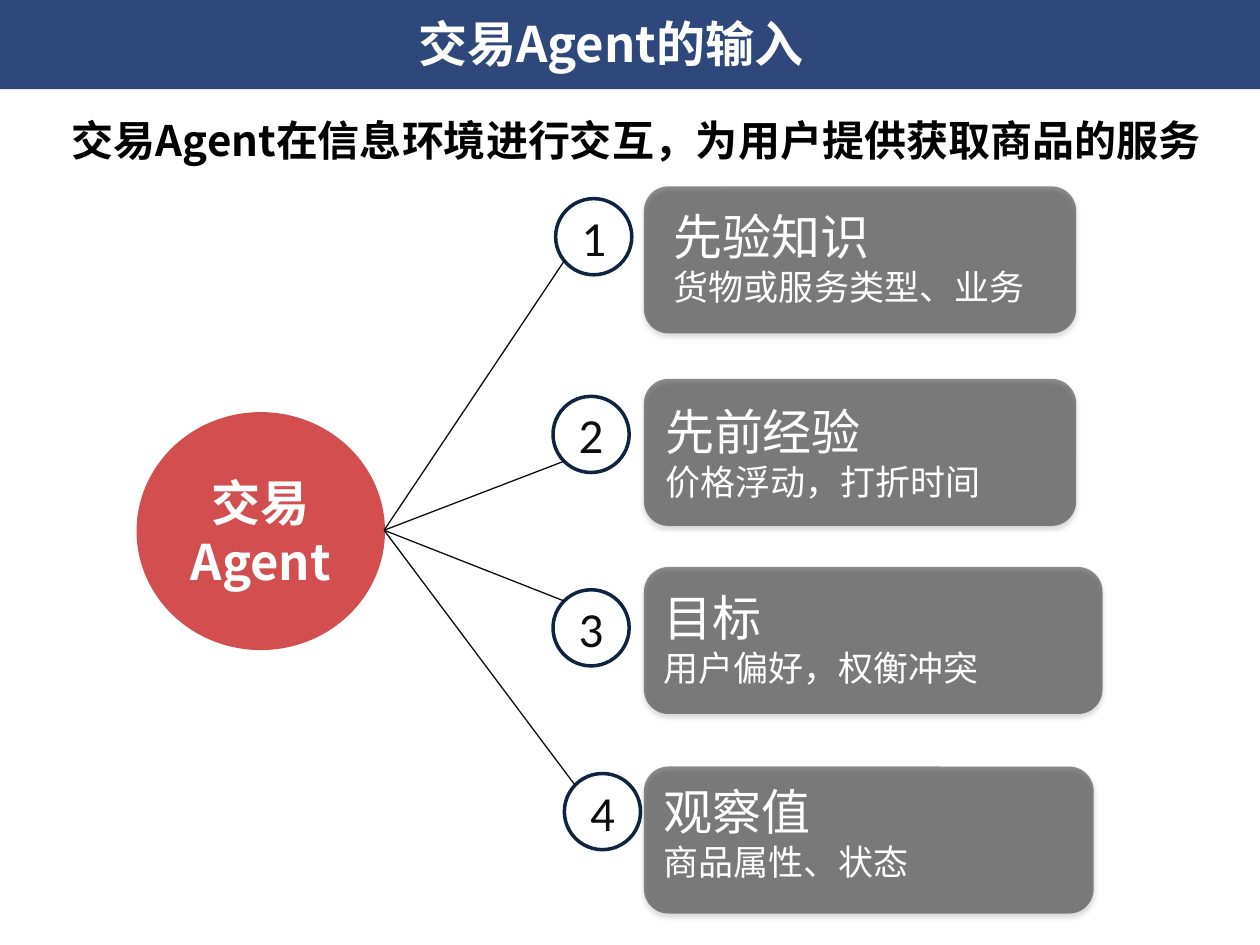
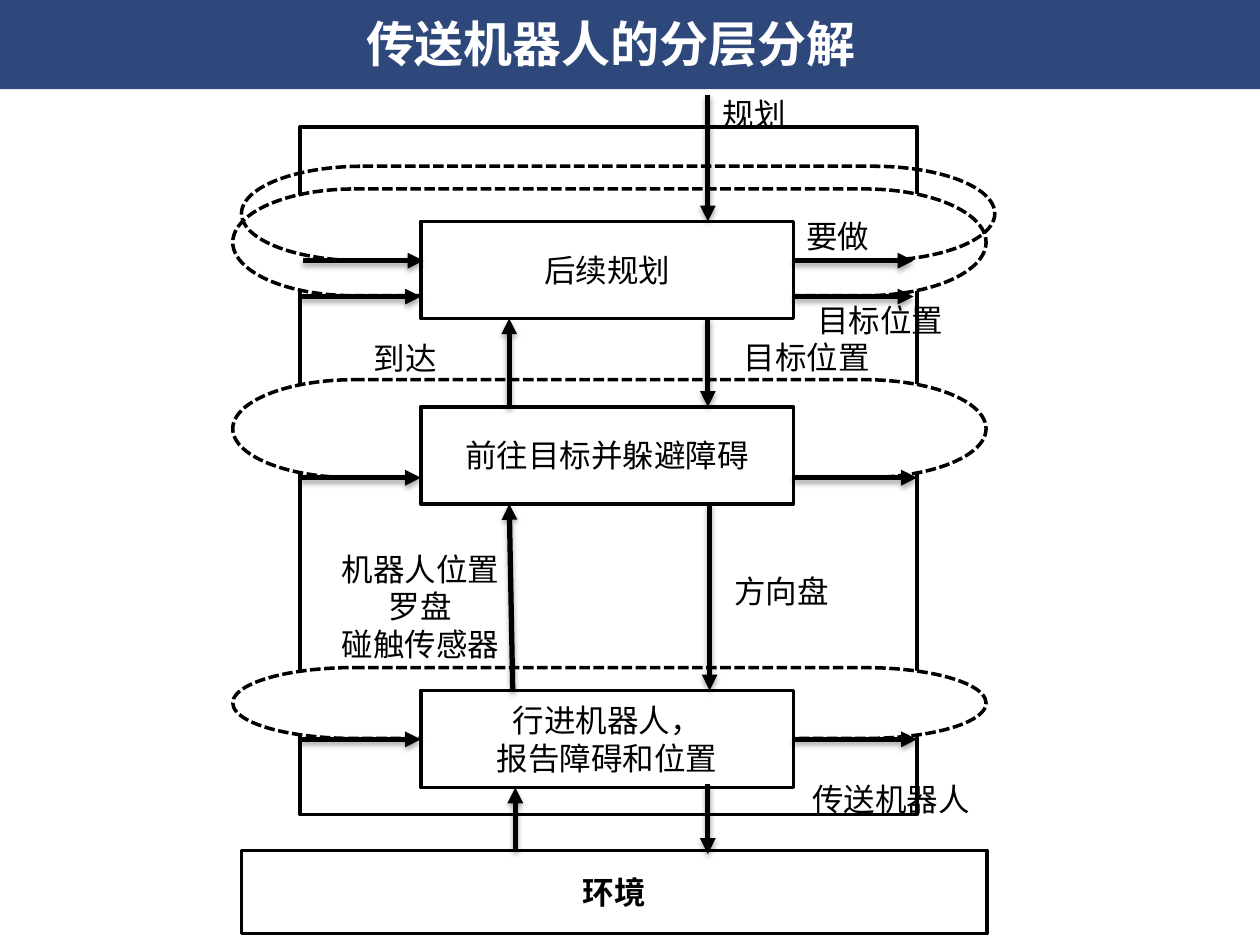
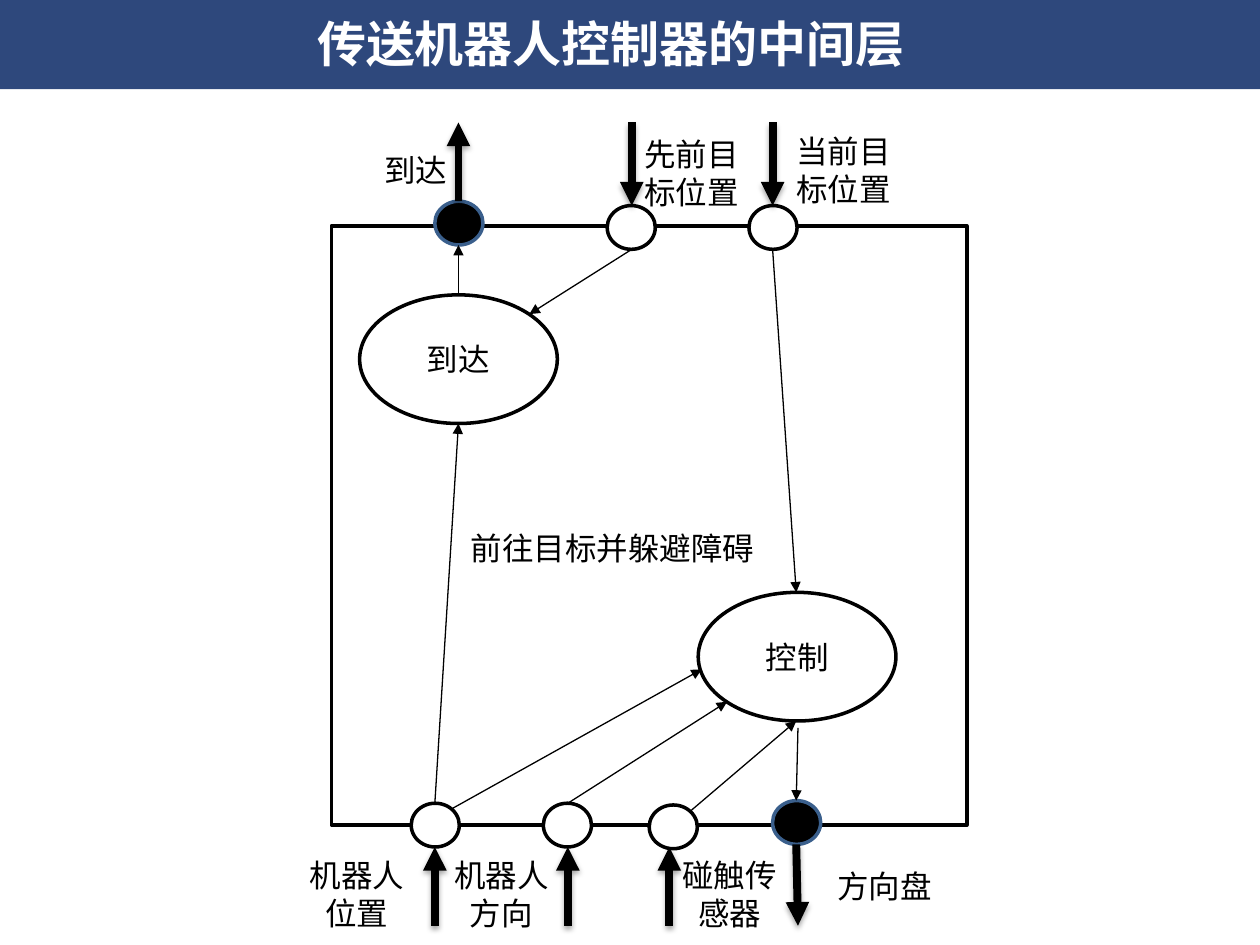
from lxml.etree import SubElement
from pptx import Presentation
from pptx.dml.color import RGBColor
from pptx.enum.dml import MSO_LINE
from pptx.enum.shapes import MSO_CONNECTOR, MSO_SHAPE
from pptx.enum.text import MSO_ANCHOR, MSO_AUTO_SIZE, PP_ALIGN
from pptx.oxml.ns import qn
from pptx.util import Pt

BLACK, WHITE, NEAR_BLACK = "000000", "FFFFFF", "0D0D0D"
BAND_BLUE, RING_NAVY, PORT_BLUE, AGENT_RED = "002060", "0F243E", "3A5F8C", "C00000"
CHINESE_FONT, BODY_FONT = "Noto Sans CJK SC", "Calibri"


def color(value):
    """Turn a hex string into a colour."""
    return RGBColor.from_string(value)


def write(frame, lines, size=18, font=BODY_FONT, ink=BLACK, bold=False,
          align=PP_ALIGN.CENTER, anchor=MSO_ANCHOR.MIDDLE):
    """Fill a text frame with one paragraph per line."""
    frame.text = "\n".join(lines)
    frame.word_wrap = True
    frame.auto_size = MSO_AUTO_SIZE.NONE
    frame.vertical_anchor = anchor
    for paragraph in frame.paragraphs:
        paragraph.alignment = align
        paragraph.font.size = Pt(size)
        paragraph.font.name = font
        paragraph.font.bold = bold
        paragraph.font.color.rgb = color(ink)


def cast_shadow(effects):
    """Add the soft downward shadow to an effect list."""
    shadow = SubElement(effects, qn("a:outerShdw"), blurRad=str(Pt(3.1)),
                        dist=str(Pt(1.8)), dir="5400000", rotWithShape="0")
    tint = SubElement(shadow, qn("a:srgbClr"), val=BLACK)
    SubElement(tint, qn("a:alpha"), val="35000")


def add_figure(slide, kind, box, fill=None, opacity=100, outline=None,
               dashed=False, shadow=False):
    """Add a preset shape with its fill, outline and shadow."""
    shape = slide.shapes.add_shape(kind, *map(Pt, box))
    shape.shadow.inherit = False
    properties = shape.element.spPr
    if shadow:
        cast_shadow(properties.find(qn("a:effectLst")))
    if fill:
        shape.fill.solid()
        shape.fill.fore_color.rgb = color(fill)
        if opacity < 100:
            tint = properties.find(qn("a:solidFill")).find(qn("a:srgbClr"))
            SubElement(tint, qn("a:alpha"), val=str(opacity * 1000))
    else:
        shape.fill.background()
    if outline:
        shape.line.color.rgb = color(outline)
        shape.line.width = Pt(2)
        if dashed:
            shape.line.dash_style = MSO_LINE.SQUARE_DOT
    else:
        shape.line.fill.background()
    return shape


def add_line(slide, start, end, width=0.75, ink=BLACK, arrow=True, shadow=False):
    """Add a straight line, usually ending in an arrowhead."""
    connector = slide.shapes.add_connector(
        MSO_CONNECTOR.STRAIGHT, *map(Pt, (*start, *end)))
    connector.line.color.rgb = color(ink)
    connector.line.width = Pt(width)
    properties = connector.element.spPr
    if arrow:
        SubElement(properties.find(qn("a:ln")), qn("a:tailEnd"), type="triangle")
    effects = SubElement(properties, qn("a:effectLst"))
    if shadow:
        cast_shadow(effects)


def add_label(slide, box, lines, align=PP_ALIGN.LEFT, **style):
    """Add a text box that reads from its top edge."""
    label = slide.shapes.add_textbox(*map(Pt, box))
    write(label.text_frame, lines, align=align, anchor=MSO_ANCHOR.TOP, **style)
    return label


def add_titled_slide(presentation, heading):
    """Add a slide with the blue band and its heading."""
    slide = presentation.slides.add_slide(presentation.slide_layouts[5])
    title = slide.shapes.title
    band = add_figure(slide, MSO_SHAPE.RECTANGLE, (0, -2, 720, 53), BAND_BLUE, 82)
    title.element.addprevious(band.element)
    title.left, title.top, title.width, title.height = map(Pt, (48, 4, 602, 41))
    write(title.text_frame, [heading], 28, CHINESE_FONT, WHITE, True)
    return slide


def build_inputs(presentation):
    """Show the four inputs of the trading agent."""
    slide = add_titled_slide(presentation, "交易Agent的输入")
    add_label(slide, (34, 62, 670, 36), ["交易Agent在信息环境进行交互，为用户提供获取商品的服务"],
              size=24, font=CHINESE_FONT, bold=True)
    agent = add_figure(slide, MSO_SHAPE.OVAL, (78, 235.5, 142, 136), AGENT_RED, 69)
    write(agent.text_frame, ["交易Agent"], 28, CHINESE_FONT, WHITE, True)
    inputs = [
        ((317.5, 113.5), (322.5, 149), (106.5, 247), (378, 114.5), "先验知识", "货物或服务类型、业务"),
        ((316, 226.5), (322.5, 263.5), (216.5, 247), (373, 226), "先前经验", "价格浮动，打折时间"),
        ((316, 337), (322.5, 343.5), (324, 262), (372, 332), "目标", "用户偏好，权衡冲突"),
        ((322.5, 442), (328.5, 448.5), (438, 257), (372, 443), "观察值", "商品属性、状态"),
    ]
    for number, (ring, joint, card, caption, name, detail) in enumerate(inputs, 1):
        badge = add_figure(slide, MSO_SHAPE.OVAL, (*ring, 43.5, 43.5), outline=RING_NAVY)
        write(badge.text_frame, [str(number)], 28, ink=NEAR_BLACK)
        add_line(slide, (219.5, 303), joint, ink=NEAR_BLACK, arrow=False)
        card_top, card_width = card
        add_figure(slide, MSO_SHAPE.ROUNDED_RECTANGLE, (368, card_top, card_width, 84),
                   BLACK, 44, shadow=True)
        label = add_label(slide, (*caption, 410, 65.5), [name, detail],
                          size=28, font=CHINESE_FONT, ink=WHITE)
        label.text_frame.paragraphs[1].font.size = Pt(20)


def build_layers(presentation):
    """Show the layers of the delivery robot above its environment."""
    slide = add_titled_slide(presentation, "传送机器人的分层分解")
    add_figure(slide, MSO_SHAPE.RECTANGLE, (171.5, 72.5, 352.5, 393), WHITE, outline=BLACK)
    environment = add_figure(slide, MSO_SHAPE.RECTANGLE, (138, 486, 426, 47.5),
                             WHITE, outline=BLACK)
    write(environment.text_frame, ["环境"], bold=True)

    loops = [(133, 381.5, 40.5, WHITE), (133, 217, 56, WHITE),
             (133, 108, 61, WHITE), (138, 95, 54, None)]
    for left, top, height, fill in loops:
        add_figure(slide, MSO_SHAPE.FLOWCHART_TERMINATOR, (left, top, 430.5, height),
                   fill, outline=BLACK, dashed=True)

    layers = [(126.5, ["后续规划"]), (232.5, ["前往目标并躲避障碍"]),
              (394.5, ["行进机器人，", "报告障碍和位置"])]
    for top, lines in layers:
        layer = add_figure(slide, MSO_SHAPE.RECTANGLE, (240.5, top, 213, 55.5),
                           WHITE, outline=BLACK)
        write(layer.text_frame, lines)

    for y, entry, leave in [(149, 173, 522), (169.5, 171.5, 522),
                            (273, 171.5, 524), (422.5, 171.5, 524)]:
        add_line(slide, (entry, y), (entry + 69, y), 3, shadow=True)
        add_line(slide, (453.5, y), (leave, y), 3, shadow=True)

    signals = [
        ((404.5, 54), (404.5, 126.5)), ((404.5, 182), (404.5, 232.5)),
        ((405.5, 288), (405.5, 394.5)), ((404.5, 448), (404.5, 488)),
        ((294.5, 486), (294.5, 450)), ((293, 394.5), (291, 288)),
        ((291, 232.5), (291, 182)),
    ]
    for start, end in signals:
        add_line(slide, start, end, 3, shadow=True)

    for box, text in [((412.5, 323.5, 81, 26), "方向盘"), ((457, 442, 124, 26), "传送机器人"),
                      ((406, 51, 88, 26), "规划"), ((453.5, 120.5, 60, 26), "要做")]:
        add_label(slide, box, [text])
    for box, lines in [((178, 310.5, 124.5, 65), ["机器人位置", "罗盘", "碰触传感器"]),
                       ((201.5, 190, 60, 26), ["到达"]),
                       ((408.5, 189.5, 105, 26), ["目标位置"]),
                       ((451.5, 168.5, 103, 26), ["目标位置"])]:
        add_label(slide, box, lines, PP_ALIGN.CENTER)


def build_middle_layer(presentation):
    """Show the ports and functions of the middle layer."""
    slide = add_titled_slide(presentation, "传送机器人控制器的中间层")
    add_figure(slide, MSO_SHAPE.RECTANGLE, (189.5, 129, 363, 342.5), WHITE, outline=BLACK)
    for left, top, name in [(205.5, 168.5, "到达"), (399, 338.5, "控制")]:
        function = add_figure(slide, MSO_SHAPE.OVAL, (left, top, 113, 73.5),
                              WHITE, outline=BLACK)
        write(function.text_frame, [name])

    outputs = [(248.5, 115), (441.5, 457.5)]
    inputs = [(235, 459), (310.5, 459), (371, 460), (347, 117.5), (428, 117.5)]
    for ports, fill, outline in [(outputs, BLACK, PORT_BLUE), (inputs, WHITE, BLACK)]:
        for left, top in ports:
            add_figure(slide, MSO_SHAPE.OVAL, (left, top, 27.5, 25), fill, outline=outline)

    inner_flows = [
        ((248.5, 459), (262, 242)), ((258.5, 462), (401, 382.5)),
        ((324.5, 459), (415.5, 401)), ((394.5, 463.5), (455, 412)),
        ((456, 416), (455, 457.5)), ((262, 168.5), (262, 140)),
        ((361, 142.5), (302.5, 179.5)), ((441.5, 142.5), (455, 338.5)),
    ]
    for start, end in inner_flows:
        add_line(slide, start, end)

    outer_flows = [((262, 115), (262, 70)), ((455, 482.5), (456, 529))]
    outer_flows += [((x, 70), (x, 117.5)) for x in (361, 441.5)]
    outer_flows += [((x, 529), (x, 484)) for x in (248.5, 324.5, 382.5)]
    for start, end in outer_flows:
        add_line(slide, start, end, 4.5, shadow=True)

    for box, text in [((212.5, 83, 53, 29), "到达"), ((361, 73.5, 80.5, 51), "先前目标位置"),
                      ((448, 72, 80.5, 51), "当前目标位置"),
                      ((262, 299, 180, 29), "前往目标并躲避障碍")]:
        add_label(slide, box, [text])
    for left, top, text in [(168, 485.5, "机器人位置"), (250.5, 485.5, "机器人方向"),
                            (381, 485.5, "碰触传感器"), (469.5, 492, "方向盘")]:
        add_label(slide, (left, top, 72, 51), [text], PP_ALIGN.CENTER)


def main():
    """Build the three slides and save them."""
    presentation = Presentation()
    presentation.slide_width, presentation.slide_height = Pt(720), Pt(540)
    build_inputs(presentation)
    build_layers(presentation)
    build_middle_layer(presentation)
    presentation.save("out.pptx")


if __name__ == "__main__":
    main()
